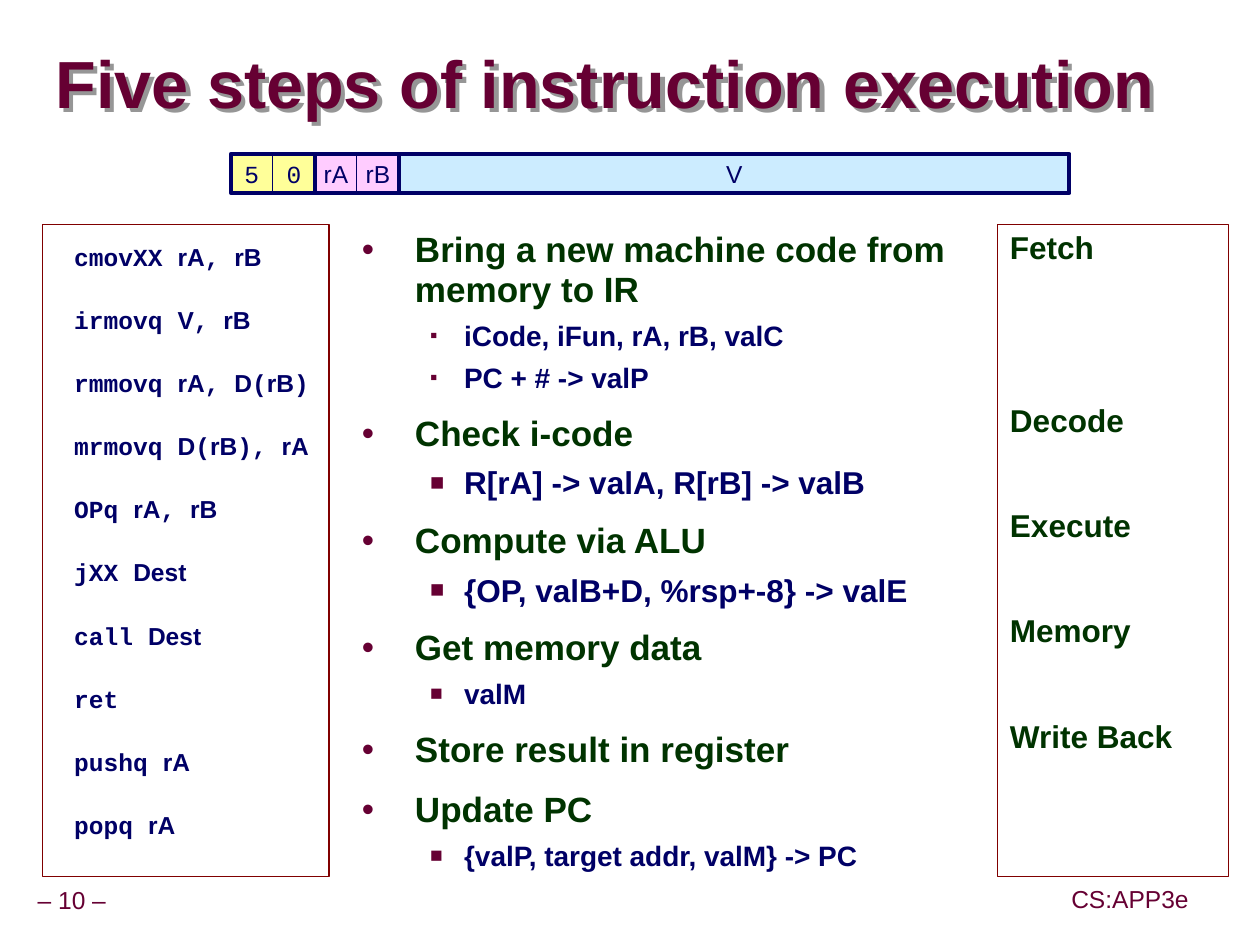
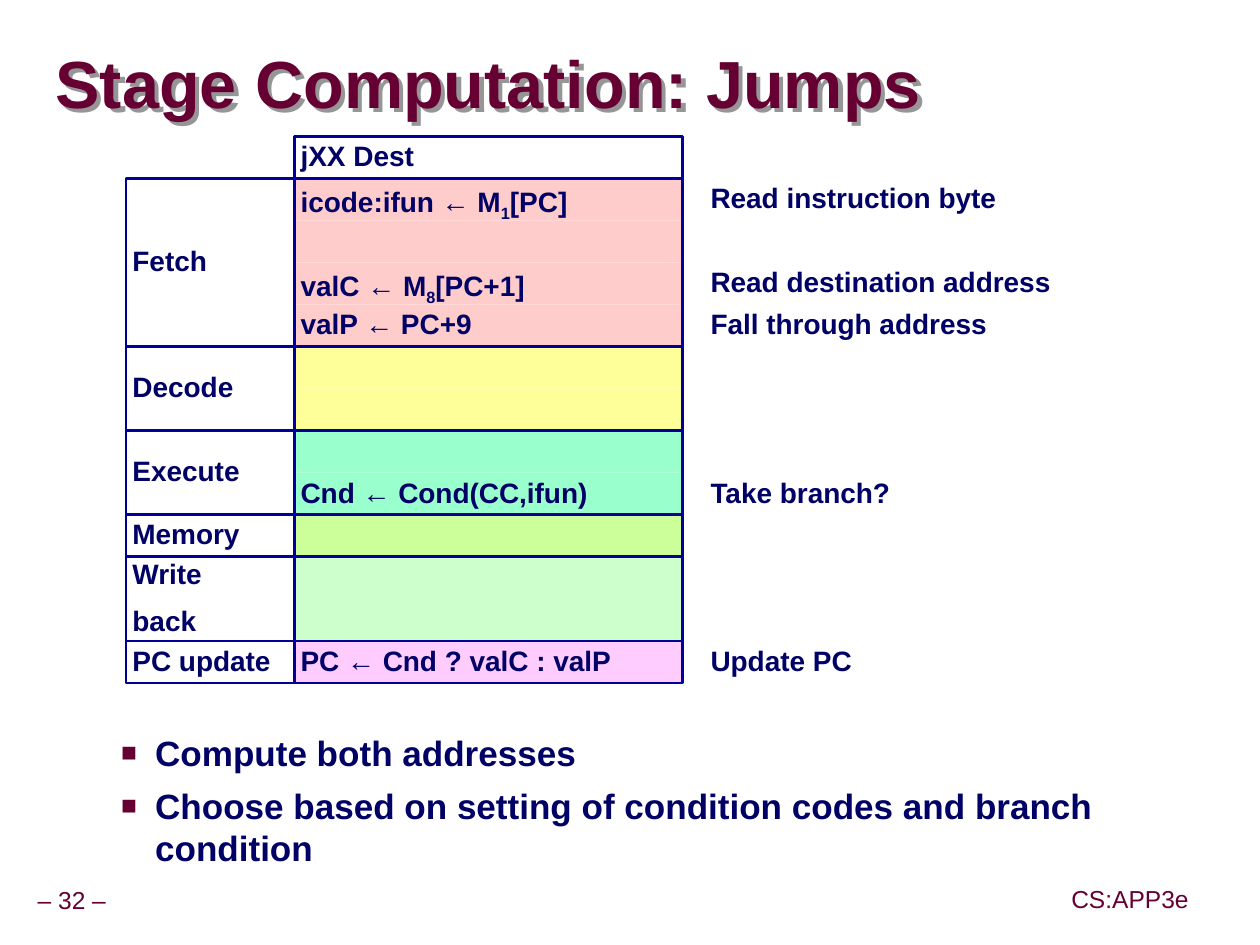
from itertools import groupby

from lxml.etree import SubElement
from pptx import Presentation
from pptx.dml.color import RGBColor
from pptx.enum.shapes import MSO_SHAPE
from pptx.enum.text import MSO_ANCHOR as ANCHOR, MSO_AUTO_SIZE, PP_ALIGN as ALIGN
from pptx.oxml.ns import qn
from pptx.util import Inches, Pt

SANS, MONO = "Arial", "Courier New"
MAROON, GREEN, NAVY = "660033", "003300", "000066"
PANEL_LINE, GRID_LINE, SHADOW = "800000", "000099", "969696"
LINE_HEIGHT = 1.15
DOT, SMALL_SQUARE, SQUARE = "•", "▪", "■"


def rgb(code):
    return RGBColor.from_string(code)


def style(paragraph, size, color, bold=False, font=SANS, spacing=None, before=0):
    """Format a paragraph; before is a share of its line height."""
    if spacing:
        paragraph.line_spacing = spacing
    paragraph.space_before = Pt(round(size * LINE_HEIGHT * before, 1))
    face = paragraph.font
    face.size, face.bold, face.name = Pt(size), bold, font
    face.color.rgb = rgb(color)


def set_frame(shape, anchor=ANCHOR.TOP, inset_x=0.1, inset_y=0.05, wrap=True):
    frame = shape.text_frame
    frame.auto_size = MSO_AUTO_SIZE.NONE
    frame.word_wrap = wrap
    frame.vertical_anchor = anchor
    frame.margin_left = frame.margin_right = Inches(inset_x)
    frame.margin_top = frame.margin_bottom = Inches(inset_y)
    return frame


def place(shape, box):
    shape.left, shape.top, shape.width, shape.height = map(Inches, box)


def add_box(slide, box, fill=None, line=None, weight=0.75):
    shape = slide.shapes.add_shape(MSO_SHAPE.RECTANGLE, *map(Inches, box))
    shape.shadow.inherit = False
    if fill:
        shape.fill.solid()
        shape.fill.fore_color.rgb = rgb(fill)
    else:
        shape.fill.background()
    if line:
        shape.line.color.rgb = rgb(line)
        shape.line.width = Pt(weight)
    else:
        shape.line.fill.background()
    return shape


def add_title(slide, text, width):
    title = slide.shapes.title
    place(title, (0.44, 0.27, width, 0.85))
    title.fill.background()
    title.shadow.inherit = False
    effects = title._element.spPr.find(qn("a:effectLst"))
    shadow = SubElement(effects, qn("a:outerShdw"), dist=str(Inches(0.05)),
                        dir="2700000", algn="ctr", rotWithShape="0")
    SubElement(shadow, qn("a:srgbClr"), val=SHADOW)
    frame = set_frame(title, ANCHOR.MIDDLE, 0, 0)
    frame.text = text
    heading = frame.paragraphs[0]
    heading.alignment = ALIGN.LEFT
    style(heading, 38, MAROON, True, spacing=0.87)


def add_footer(slide, number):
    for text, box in ((f"– {number} –", (0.24, 6.99, 0.66, 0.31)),
                      ("CS:APP3e", (8.44, 6.98, 1.04, 0.32))):
        label = slide.shapes.add_textbox(*map(Inches, box))
        frame = set_frame(label, ANCHOR.MIDDLE, 0.05, 0.05, wrap=False)
        frame.text = text
        frame.paragraphs[0].alignment = ALIGN.CENTER
        style(frame.paragraphs[0], 14, MAROON, spacing=0.9)


def add_bullet(paragraph, char, left, hanging, percent):
    props = paragraph._p.get_or_add_pPr()
    props.set("marL", str(Inches(left)))
    props.set("indent", str(-Inches(hanging)))
    SubElement(SubElement(props, qn("a:buClr")), qn("a:srgbClr"), val=MAROON)
    SubElement(props, qn("a:buSzPct"), val=str(percent * 1000))
    SubElement(props, qn("a:buFont"), typeface=SANS)
    SubElement(props, qn("a:buChar"), char=char)


def add_body(slide, box, items):
    """Fill the body placeholder from (bullet, size, text) items."""
    body = slide.placeholders[1]
    place(body, box)
    frame = set_frame(body)
    for index, (char, size, text) in enumerate(items):
        item = frame.add_paragraph() if index else frame.paragraphs[0]
        item.text = text
        if char == DOT:
            add_bullet(item, char, 0.42, 0.42, 100)
            style(item, size, GREEN, True, spacing=0.95, before=0.5 if index else 0)
        else:
            item.level = 1
            add_bullet(item, char, 0.81, 0.27, 75)
            style(item, size, NAVY, True, spacing=1.0, before=0.25 if index else 0)


def new_slide(deck, title, title_width, number):
    slide = deck.slides.add_slide(deck.slide_layouts[1])
    add_title(slide, title, title_width)
    add_footer(slide, number)
    return slide


def add_encoding(slide, left, top, width):
    """Instruction bytes: two split bytes, then the constant word."""
    nibble, height = 1 / 3, 0.31

    def field(x, field_width, text, fill, font, weight):
        cell = add_box(slide, (x, top, field_width, height), fill, NAVY, weight)
        frame = set_frame(cell, ANCHOR.MIDDLE, wrap=False)
        frame.text = text
        frame.paragraphs[0].alignment = ALIGN.CENTER
        style(frame.paragraphs[0], 14, NAVY, font=font)

    x = left
    for halves, fill, font in ((("5", "0"), "FFFF99", MONO),
                               (("rA", "rB"), "FFCCFF", SANS)):
        for index, text in enumerate(halves):
            field(x + index * nibble, nibble, text, fill, font, 0.5)
        add_box(slide, (x, top, 2 * nibble, height), line=NAVY, weight=2.25)
        x += 2 * nibble
    field(x, left + width - x, "V", "CCECFF", SANS, 2.25)


def add_instructions(slide, box, instructions):
    """Mnemonics and punctuation in monospace, operands in sans."""
    left, top = box[:2]
    add_box(slide, box, line=PANEL_LINE)
    for row, (mnemonic, operands) in enumerate(instructions):
        entry = add_box(slide, (left + 0.15, top + 0.09 + row * 0.5, 2.08, 0.33), "FFFFFF")
        line = set_frame(entry, ANCHOR.MIDDLE, wrap=False).paragraphs[0]
        line.alignment = ALIGN.LEFT
        style(line, 14, NAVY, True, MONO)
        line.add_run().text = mnemonic + (" " if operands else "")
        for is_word, chars in groupby(operands, str.isalnum):
            part = line.add_run()
            part.text = "".join(chars)
            if is_word:
                part.font.name = SANS


def add_stage_names(slide, box, stages):
    frame = set_frame(add_box(slide, box, line=PANEL_LINE))
    for index, (name, gap) in enumerate(stages):
        stage = frame.add_paragraph() if index else frame.paragraphs[0]
        stage.text = name
        stage.alignment = ALIGN.LEFT
        style(stage, 18, GREEN, True, spacing=0.95)
        stage.space_before = Pt(gap)


def write_cell(shape, lines, anchor=ANCHOR.TOP):
    """Each line is a tuple of parts in which every second one is a subscript."""
    frame = set_frame(shape, anchor, 0.05)
    for index, parts in enumerate(lines):
        line = frame.add_paragraph() if index else frame.paragraphs[0]
        line.alignment = ALIGN.LEFT
        style(line, 16, NAVY, True, spacing=0.9, before=0.5 if index else 0)
        for position, text in enumerate(parts):
            run = line.add_run()
            run.text = text
            if position % 2:
                run._r.get_or_add_rPr().set("baseline", "-25000")


def add_computation(slide, left, top, header, stages):
    """Stage column, formula column and remarks, on rows of equal height."""
    row_height, name_width, formula_width = 1 / 3, 4 / 3, 3.08
    formula_left = left + name_width
    remark_left = formula_left + formula_width + 0.17

    heading = add_box(slide, (formula_left, top, formula_width, row_height),
                      line=GRID_LINE, weight=1.5)
    write_cell(heading, [(header,)])
    y = top + row_height
    for name_lines, fill, rows in stages:
        height = len(rows) * row_height
        for index, (formula, remark) in enumerate(rows):
            row_top = y + index * row_height
            cell = add_box(slide, (formula_left, row_top, formula_width, row_height), fill)
            if formula:
                write_cell(cell, [formula])
            if remark:
                note = slide.shapes.add_textbox(
                    *map(Inches, (remark_left, row_top, formula_width, row_height)))
                write_cell(note, [(remark,)])
        add_box(slide, (formula_left, y, formula_width, height), line=GRID_LINE, weight=1.5)
        stage = add_box(slide, (left, y, name_width, height), line=GRID_LINE, weight=1.5)
        write_cell(stage, [(text,) for text in name_lines], ANCHOR.MIDDLE)
        y += height


def build_steps(deck):
    slide = new_slide(deck, "Five steps of instruction execution", 8.97, 10)
    add_body(slide, (2.77, 1.78, 4.93, 5.17), [
        (DOT, 20, "Bring a new machine code from memory to IR"),
        (SMALL_SQUARE, 16, "iCode, iFun, rA, rB, valC"),
        (SMALL_SQUARE, 16, "PC + # -> valP"),
        (DOT, 20, "Check i-code"),
        (SQUARE, 18, "R[rA] -> valA, R[rB] -> valB"),
        (DOT, 20, "Compute via ALU"),
        (SQUARE, 18, "{OP, valB+D, %rsp+-8} -> valE"),
        (DOT, 20, "Get memory data"),
        (SQUARE, 16, "valM"),
        (DOT, 20, "Store result in register"),
        (DOT, 20, "Update PC"),
        (SQUARE, 16, "{valP, target addr, valM} -> PC"),
    ])
    add_instructions(slide, (0.34, 1.78, 2.27, 5.17), [
        ("cmovXX", "rA, rB"), ("irmovq", "V, rB"), ("rmmovq", "rA, D(rB)"),
        ("mrmovq", "D(rB), rA"), ("OPq", "rA, rB"), ("jXX", "Dest"),
        ("call", "Dest"), ("ret", ""), ("pushq", "rA"), ("popq", "rA"),
    ])
    add_encoding(slide, 1.83, 1.22, 6.65)
    add_stage_names(slide, (7.91, 1.78, 1.83, 5.17), [
        ("Fetch", 0), ("Decode", 78.5), ("Execute", 39.4),
        ("Memory", 39.4), ("Write Back", 39.4),
    ])


def build_jumps(deck):
    slide = new_slide(deck, "Stage Computation: Jumps", 9.52, 32)
    add_body(slide, (0.32, 5.75, 9.07, 1.28), [
        (SQUARE, 20, "Compute both addresses"),
        (SQUARE, 20, "Choose based on setting of condition codes and branch condition"),
    ])
    empty = (None, None)
    add_computation(slide, 1, 1.08, "jXX Dest", [
        (["Fetch"], "FFCCCC", [
            (("icode:ifun ← M", "1", "[PC]"), "Read instruction byte"),
            empty,
            (("valC ← M", "8", "[PC+1]"), "Read destination address"),
            (("valP ← PC+9",), "Fall through address")]),
        (["Decode"], "FFFF99", [empty, empty]),
        (["Execute"], "99FFCC", [empty, (("Cnd ← Cond(CC,ifun)",), "Take branch?")]),
        (["Memory"], "CCFF99", [empty]),
        (["Write", "back"], "CCFFCC", [empty, empty]),
        (["PC update"], "FFCCFF", [(("PC ← Cnd ? valC : valP",), "Update PC")]),
    ])


def main():
    deck = Presentation()
    deck.slide_width, deck.slide_height = Inches(9.99), Inches(7.49)
    build_steps(deck)
    build_jumps(deck)
    deck.save("out.pptx")


if __name__ == "__main__":
    main()
